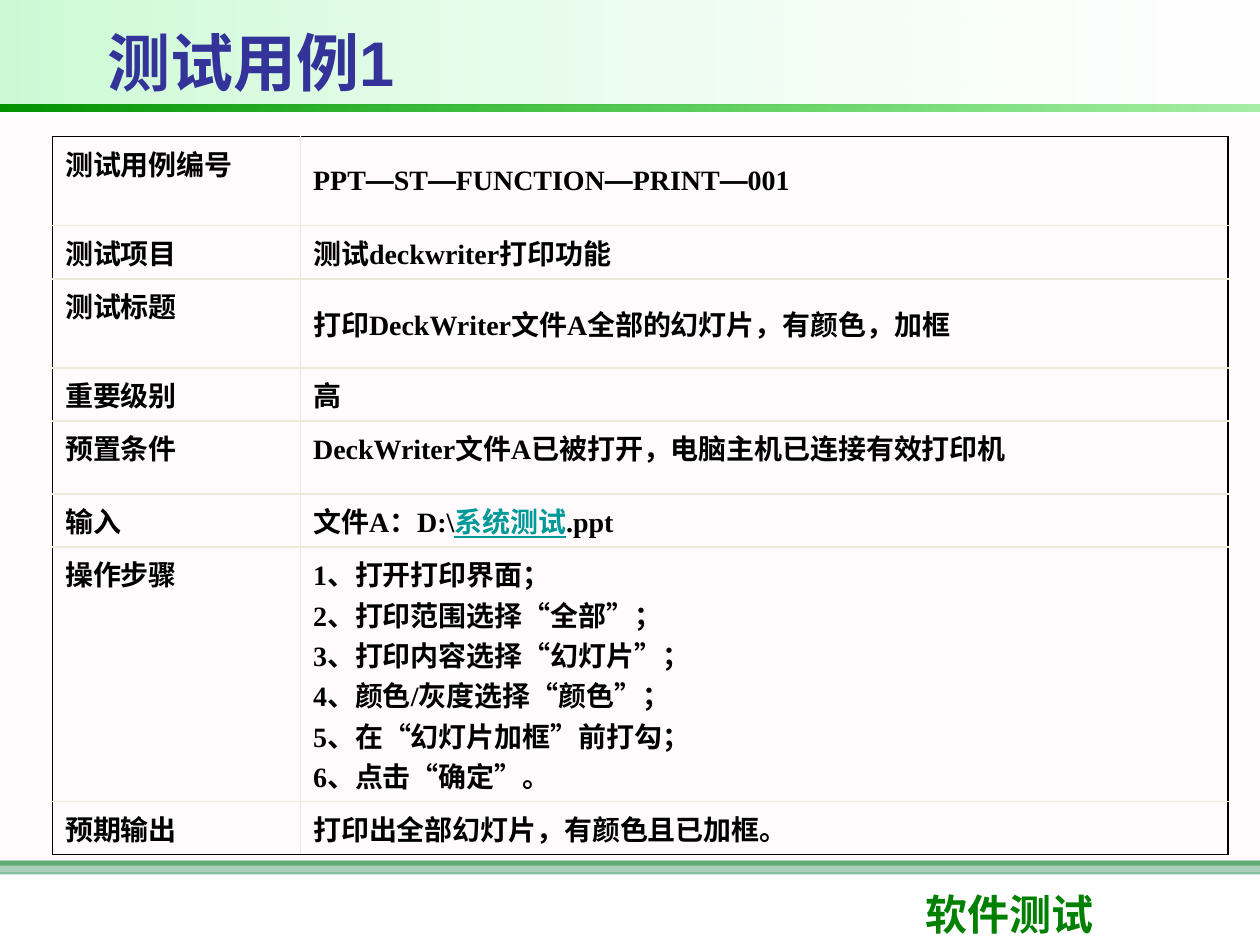
"""Build the test case slide with its green frame and table."""
from itertools import groupby

from lxml import etree
from pptx import Presentation
from pptx import util as u
from pptx.dml.color import RGBColor
from pptx.enum import shapes, text
from pptx.oxml import ns

COLORS = {"title": "333399", "footer": "008000", "text": "000000", "link": "009999",
          "outer": "000000", "inner": "ECE9D8"}
LATIN, CJK, SYMBOL = "Times New Roman", "Noto Sans CJK SC", "Arial"
LINK = "系统测试"

BANDS = [
    ((0, 17.35, 25.4, 0.1), [("008000", 100)]),
    ((0, 17.35, 25.4, 0.28), [("339966", 60)]),
    ((0, 2.34, 25.4, 15.24), [("FFF0F5", 30)]),
    ((0, 0, 25.37, 2.11), [("09E733", 21), ("FFFFFF", 10)]),
    ((0, 2.11, 25.4, 0.13), [("009200", 100), ("00CC00", 35)]),
]
LABELS = [
    ("测试用例1", (1.91, 0, 22.86, 2.46), 36, "title", text.MSO_ANCHOR.MIDDLE),
    ("软件测试", (18.41, 17.78, 6.02, 1.27), 24, "footer", text.MSO_ANCHOR.TOP),
]
TABLE_LEFT, TABLE_TOP = 1.06, 2.75
COLUMNS = [5, 18.69]
ROWS = [
    (1.8, "测试用例编号", ["PPT—ST—FUNCTION—PRINT—001"]),
    (1.07, "测试项目", ["测试deckwriter打印功能"]),
    (1.8, "测试标题", ["打印DeckWriter文件A全部的幻灯片，有颜色，加框"]),
    (1.07, "重要级别", ["高"]),
    (1.47, "预置条件", ["DeckWriter文件A已被打开，电脑主机已连接有效打印机"]),
    (1.07, "输入", ["文件A：D:\\" + LINK + ".ppt"]),
    (5.13, "操作步骤", ["1、打开打印界面；", "2、打印范围选择“全部”；",
                    "3、打印内容选择“幻灯片”；", "4、颜色/灰度选择“颜色”；",
                    "5、在“幻灯片加框”前打勾；", "6、点击“确定”。"]),
    (1.07, "预期输出", ["打印出全部幻灯片，有颜色且已加框。"]),
]
MIDDLE_ROWS = (0, 2)


def font_of(char):
    if char in "—“”":
        return SYMBOL
    return LATIN if char.isascii() else CJK


def add_text(p, words, size=16, color="text", font=None):
    for name, chars in groupby(words, key=lambda c: font or font_of(c)):
        r = p.add_run()
        r.text = "".join(chars)
        linked = r.text == LINK
        r.font.name, r.font.size, r.font.bold = name, u.Pt(size), True
        r.font.color.rgb = RGBColor.from_string(COLORS["link" if linked else color])
        if linked:
            r.font.underline = True
        ea = etree.SubElement(r.font._element, ns.qn("a:ea"))
        ea.set("typeface", CJK)


def set_color(color, xml, value, opacity):
    color.rgb = RGBColor.from_string(value)
    if opacity < 100:
        rgb = next(xml.iter(ns.qn("a:srgbClr")))
        etree.SubElement(rgb, ns.qn("a:alpha")).set("val", str(opacity * 1000))


def add_band(s, box, stops):
    sp = s.shapes.add_shape(shapes.MSO_SHAPE.RECTANGLE, *map(u.Cm, box))
    sp.shadow.inherit = False
    sp.line.fill.background()
    if len(stops) == 1:
        sp.fill.solid()
        set_color(sp.fill.fore_color, sp._element.spPr, *stops[0])
        return
    sp.fill.gradient()
    sp.fill.gradient_angle = 0
    for stop, (value, opacity) in zip(sp.fill.gradient_stops, stops):
        set_color(stop.color, stop._gs, value, opacity)


def set_borders(cell, outer_sides):
    tcPr = cell._tc.get_or_add_tcPr()
    for i, side in enumerate("LRTB"):
        ln = etree.Element(ns.qn("a:ln" + side), w=str(u.Pt(1)))
        fill = etree.SubElement(ln, ns.qn("a:solidFill"))
        kind = "outer" if side in outer_sides else "inner"
        etree.SubElement(fill, ns.qn("a:srgbClr")).set("val", COLORS[kind])
        tcPr.insert(i, ln)


def fill_cell(cell, lines):
    cell.fill.background()
    tf = cell.text_frame
    for i, line in enumerate(lines):
        p = tf.add_paragraph() if i else tf.paragraphs[0]
        pPr = p._p.get_or_add_pPr()
        pPr.set("marL", str(u.Cm(0.97)))
        pPr.set("indent", str(u.Cm(-0.97)))
        add_text(p, line)


prs = Presentation()
prs.slide_width, prs.slide_height = u.Cm(25.4), u.Cm(19.05)
s = prs.slides.add_slide(prs.slide_layouts[6])

for box, stops in BANDS:
    add_band(s, box, stops)

for words, box, size, color, anchor in LABELS:
    tf = s.shapes.add_textbox(*map(u.Cm, box)).text_frame
    tf.word_wrap = True
    tf.vertical_anchor = anchor
    add_text(tf.paragraphs[0], words, size=size, color=color, font="Arial")

heights = [row[0] for row in ROWS]
frame = s.shapes.add_table(len(ROWS), len(COLUMNS), u.Cm(TABLE_LEFT), u.Cm(TABLE_TOP),
                           u.Cm(sum(COLUMNS)), u.Cm(sum(heights)))
table = frame.table
table.first_row = table.horz_banding = False
for column, width in zip(table.columns, COLUMNS):
    column.width = u.Cm(width)
for i, (height, name, lines) in enumerate(ROWS):
    table.rows[i].height = u.Cm(height)
    ends = "T" * (i == 0) + "B" * (i == len(ROWS) - 1)
    for j, (content, side) in enumerate([([name], "L"), (lines, "R")]):
        cell = table.cell(i, j)
        fill_cell(cell, content)
        set_borders(cell, side + ends)
    if i in MIDDLE_ROWS:
        table.cell(i, 1).vertical_anchor = text.MSO_ANCHOR.MIDDLE

prs.save("out.pptx")
